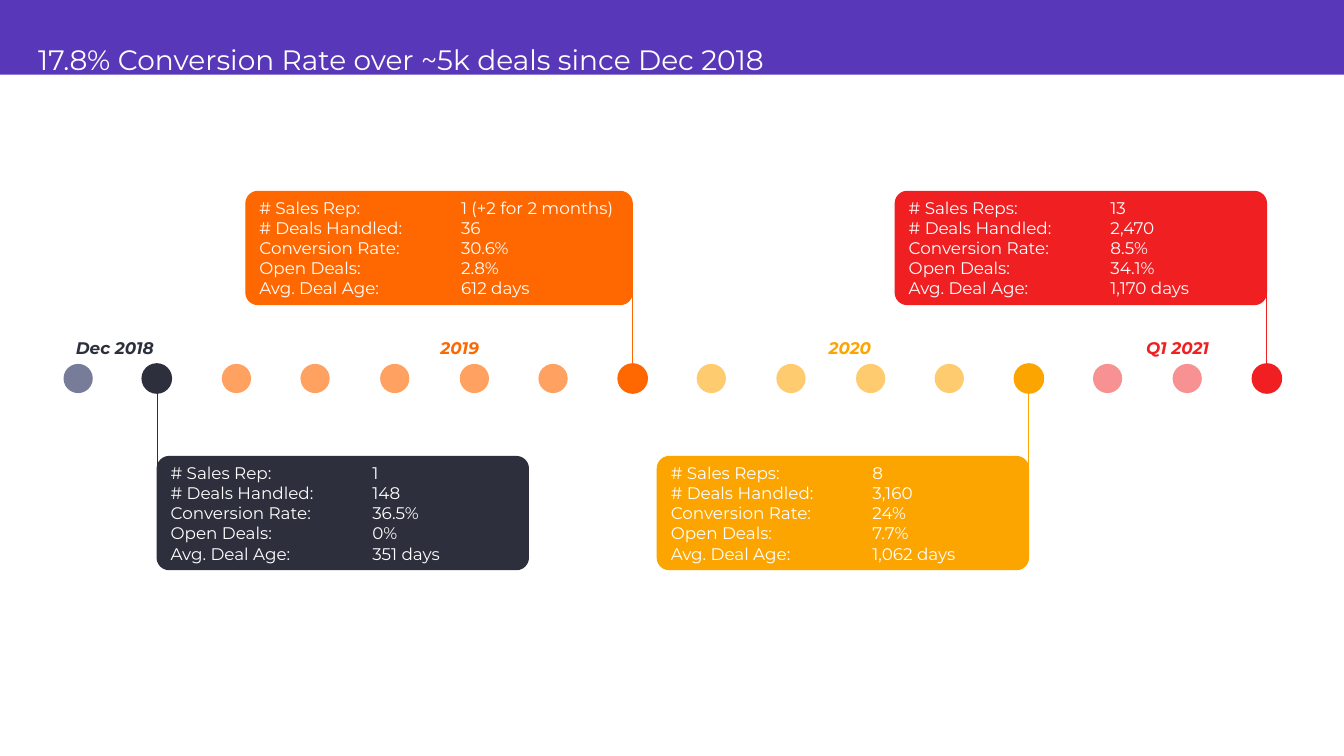
from dataclasses import dataclass

from lxml.etree import SubElement
from pptx import Presentation
from pptx.dml.color import RGBColor
from pptx.enum.shapes import MSO_CONNECTOR, MSO_SHAPE
from pptx.enum.text import MSO_ANCHOR, MSO_AUTO_SIZE, PP_ALIGN
from pptx.oxml.ns import qn
from pptx.util import Emu, Pt

PX = 9144
LEFT_SIDE, RIGHT_SIDE = 1, 3


@dataclass(frozen=True)
class Theme:
    font: str = "Montserrat"
    title_size: int = 20
    body_size: int = 12
    white: str = "FFFFFF"
    purple: str = "5937B9"
    navy: str = "2D303C"
    navy_light: str = "777D99"
    orange: str = "FF6800"
    orange_light: str = "FFA161"
    amber: str = "FCA501"
    amber_light: str = "FECB6E"
    red: str = "F02022"
    red_light: str = "F89292"


@dataclass(frozen=True)
class Period:
    label: str
    label_left: int
    label_width: int
    dots: int
    color: str
    light: str
    box_left: int
    box_top: int
    box_width: int
    joined_side: int
    rep_label: str
    values: tuple


THEME = Theme()

PERIODS = (
    Period("Dec 2018", 64, 100, 2, THEME.navy, THEME.navy_light,
           156, 453, 368, LEFT_SIDE, "# Sales Rep:",
           ("1", "148", "36.5%", "0%", "351 days")),
    Period("2019", 383, 146, 6, THEME.orange, THEME.orange_light,
           244, 190, 383, RIGHT_SIDE, "# Sales Rep:",
           ("1 (+2 for 2 months)", "36", "30.6%", "2.8%", "612 days")),
    Period("2020", 770, 146, 5, THEME.amber, THEME.amber_light,
           652, 453, 368, RIGHT_SIDE, "# Sales Reps:",
           ("8", "3,160", "24%", "7.7%", "1,062 days")),
    Period("Q1 2021", 1095, 146, 3, THEME.red, THEME.red_light,
           888, 190, 368, RIGHT_SIDE, "# Sales Reps:",
           ("13", "2,470", "8.5%", "34.1%", "1,170 days")),
)
METRICS = ("# Deals Handled:", "Conversion Rate:", "Open Deals:", "Avg. Deal Age:")

DOT_TOP, DOT_SIZE = 361, 29
FIRST_DOT, LAST_DOT = 63, 1242
BOX_HEIGHT, VALUE_TAB = 112, 200


def px(value):
    return Emu(value * PX)


def write(frame, text, size=THEME.body_size, color=THEME.white, bold=False,
          italic=False, align=PP_ALIGN.LEFT, spacing=None, tab=None):
    frame.word_wrap = True
    frame.vertical_anchor = MSO_ANCHOR.MIDDLE
    for index, line in enumerate(text.split("\n")):
        para = frame.add_paragraph() if index else frame.paragraphs[0]
        para.alignment = align
        if spacing:
            para.line_spacing = spacing
        if tab:
            stops = SubElement(para._p.get_or_add_pPr(), qn("a:tabLst"))
            SubElement(stops, qn("a:tab"), pos=str(px(tab)), algn="l")
        span = para.add_run()
        span.text = line
        span.font.name = THEME.font
        span.font.size = Pt(size)
        span.font.bold = bold
        span.font.italic = italic
        span.font.color.rgb = RGBColor.from_string(color)


class SlideBuilder:
    def __init__(self, page, theme):
        self.page = page
        self.theme = theme

    def shape(self, kind, left, top, width, height, fill, outlined=False):
        shape = self.page.shapes.add_shape(
            kind, px(left), px(top), px(width), px(height))
        shape.shadow.inherit = False
        shape.fill.solid()
        shape.fill.fore_color.rgb = RGBColor.from_string(fill)
        if outlined:
            shape.line.color.rgb = RGBColor.from_string(fill)
            shape.line.width = Pt(1)
        else:
            shape.line.fill.background()
        return shape

    def text(self, text, left, top, width, height, grow=False, **style):
        box = self.page.shapes.add_textbox(px(left), px(top), px(width), px(height))
        write(box.text_frame, text, **style)
        if grow:
            box.text_frame.auto_size = MSO_AUTO_SIZE.SHAPE_TO_FIT_TEXT

    def header(self, text):
        self.shape(MSO_SHAPE.RECTANGLE, 0, 0, 1333, 74, self.theme.purple)
        self.text(text, 28, 24, 1265, 74, size=self.theme.title_size, spacing=0.9)

    def dot(self, left, color, outlined):
        self.shape(MSO_SHAPE.OVAL, left, DOT_TOP, DOT_SIZE, DOT_SIZE, color, outlined)

    def label(self, period):
        self.text(period.label, period.label_left, 330, period.label_width, 30,
                  grow=True, color=period.color, bold=True, italic=True,
                  align=PP_ALIGN.CENTER)

    def callout(self, period):
        box = self.shape(MSO_SHAPE.ROUNDED_RECTANGLE, period.box_left, period.box_top,
                         period.box_width, BOX_HEIGHT, period.color, True)
        box.adjustments[0] = 0.105
        names = (period.rep_label, *METRICS)
        rows = [f"{name}\t{value}" for name, value in zip(names, period.values)]
        write(box.text_frame, "\n".join(rows), tab=VALUE_TAB)
        return box

    def leader(self, period, box):
        x = period.box_left
        if period.joined_side == RIGHT_SIDE:
            x += period.box_width
        dot_edge = DOT_TOP if period.box_top < DOT_TOP else DOT_TOP + DOT_SIZE
        line = self.page.shapes.add_connector(
            MSO_CONNECTOR.STRAIGHT, px(x), px(dot_edge),
            px(x), px(period.box_top + BOX_HEIGHT // 2))
        line.end_connect(box, period.joined_side)
        line.line.color.rgb = RGBColor.from_string(period.color)
        line.line.width = Pt(0.5)
        SubElement(line._element.spPr, qn("a:effectLst"))


def main():
    deck = Presentation()
    deck.slide_width, deck.slide_height = px(1333), px(750)
    page = deck.slides.add_slide(deck.slide_layouts[6])
    builder = SlideBuilder(page, THEME)
    builder.header("17.8% Conversion Rate over ~5k deals since Dec 2018")

    last = sum(period.dots for period in PERIODS) - 1
    position = 0
    for period in PERIODS:
        for number in range(1, period.dots + 1):
            left = FIRST_DOT + (LAST_DOT - FIRST_DOT) * position // last
            final = number == period.dots
            builder.dot(left, period.color if final else period.light, final)
            position += 1

    for period in PERIODS:
        builder.label(period)
        builder.leader(period, builder.callout(period))

    deck.save("out.pptx")


if __name__ == "__main__":
    main()
